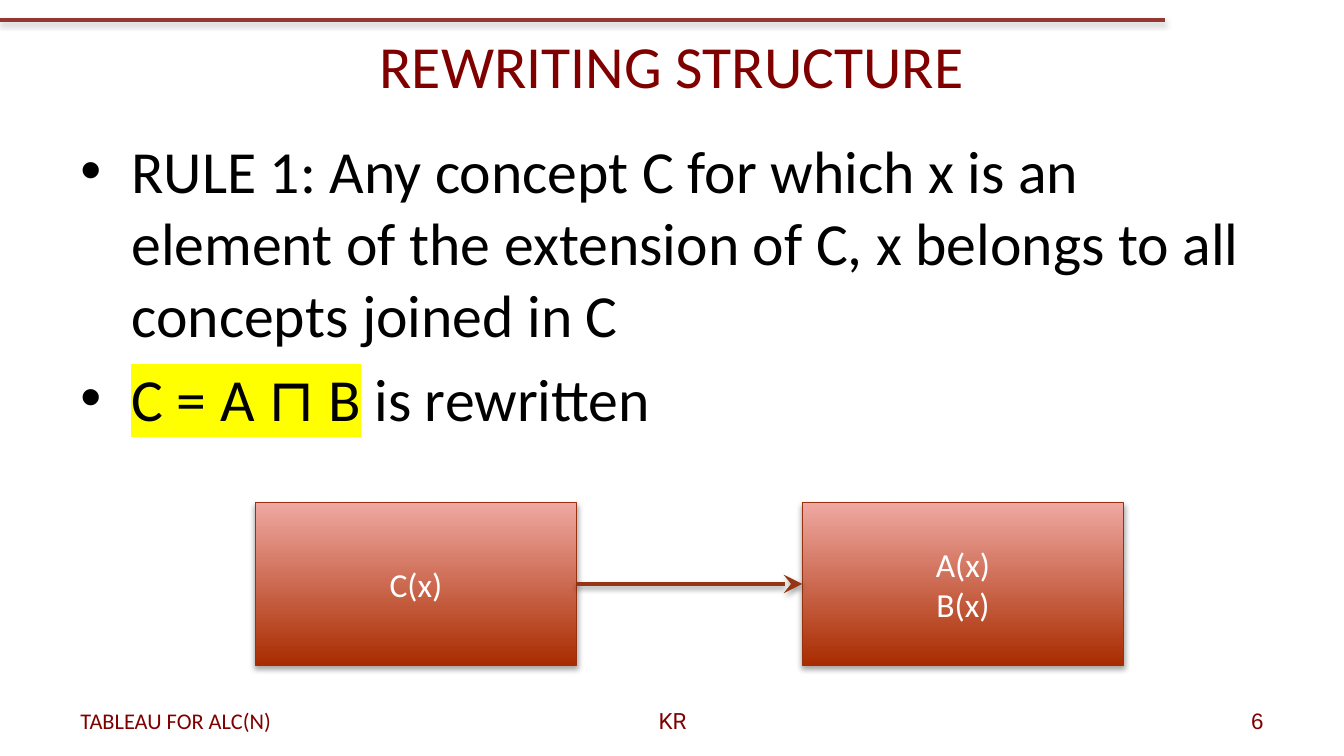
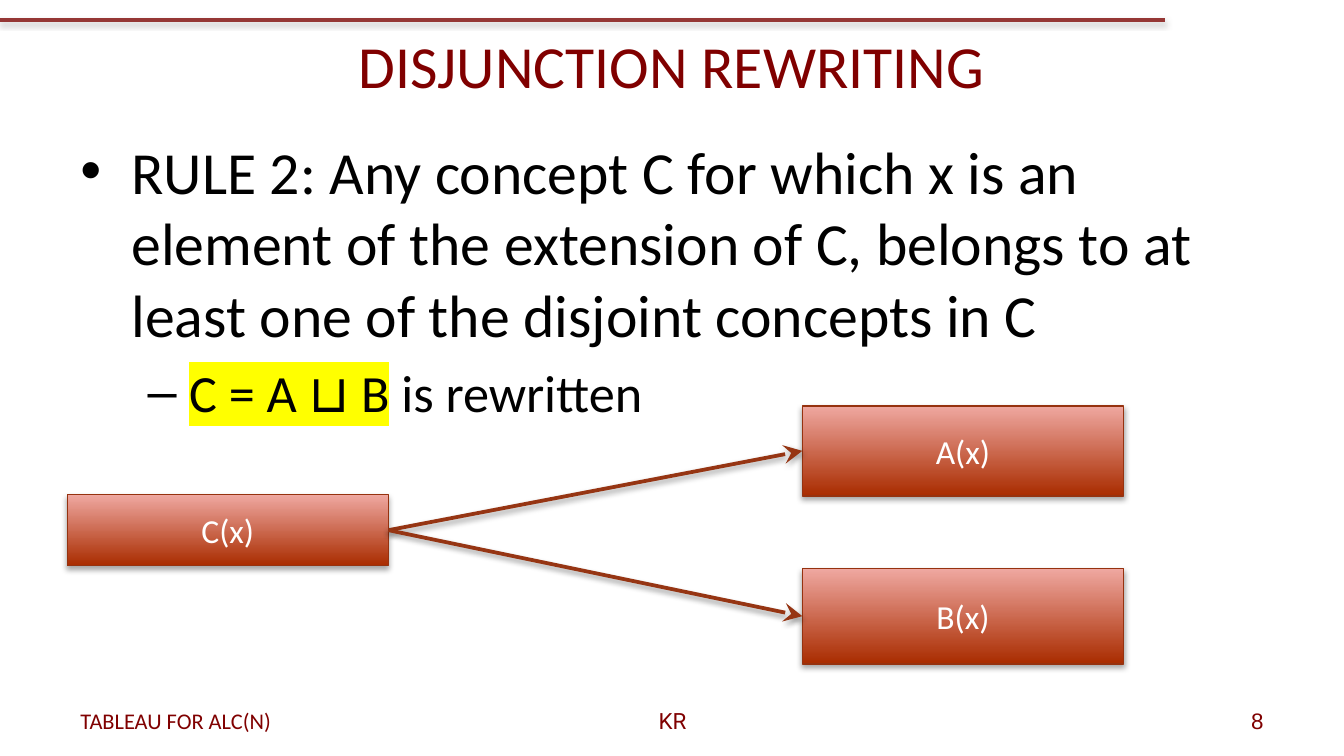
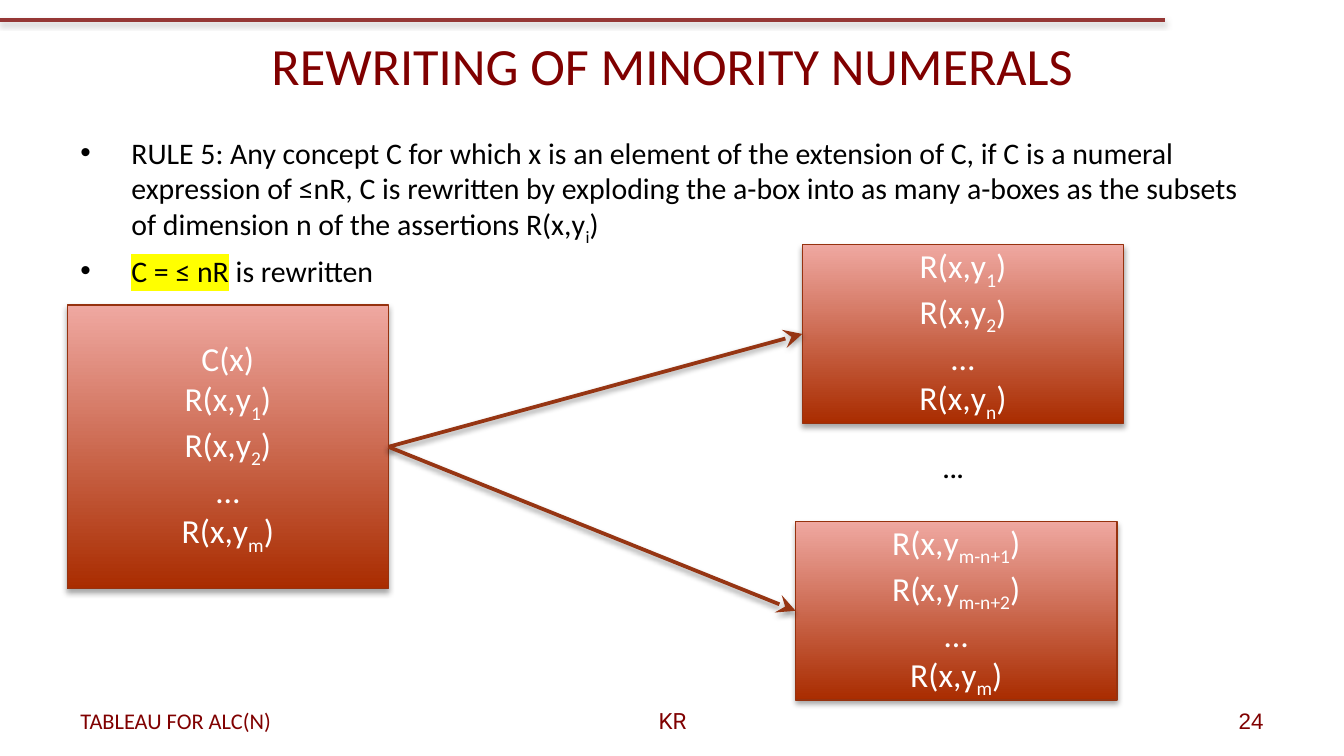
from pptx import Presentation
from pptx.dml.color import RGBColor
from pptx.enum.shapes import MSO_CONNECTOR as LINE, MSO_SHAPE as SHAPE
from pptx.enum.text import MSO_ANCHOR as ANCHOR, PP_ALIGN as ALIGN
from pptx.oxml import parse_xml
from pptx.oxml.ns import nsdecls
from pptx.util import Inches, Pt

COLORS = {
    "title": "800000", "band": "953735", "arrow": "963513", "edge": "96320F",
    "dark": "A92C00", "light": "EFA8A1", "body": "000000", "box_text": "FFFFFF",
    "mark": "FFFF00", "band_shadow": "808080", "shadow": "000000",
}
MAIN_FONT = "Calibri"


def role(index):
    """Runs of the assertion R(x,y) with a subscript index."""
    return [("R(x,y", ""), (index, "sub"), (")", "")]


def plain(text):
    return [(text, "")]


# Content: a text line is a list of (text, style) runs
BOX_WIDTH = 2.39
LEFT, RIGHT = 0.5, 5.97
FOOTERS = [  # left, width, alignment, font, text (None: page number)
    (0.5, 2.73, ALIGN.LEFT, MAIN_FONT, "TABLEAU FOR ALC(N)"),
    (3.42, 3.17, ALIGN.CENTER, "Roboto", "KR"),
    (7.17, 2.33, ALIGN.RIGHT, "Arial", None),
]
LEVELS = [("•", 0.38, 0.38), ("–", 0.81, 0.31)]  # bullet, indent, hanging

SLIDES = [
    {
        "title": "REWRITING STRUCTURE", "title_size": 32, "number": 6,
        "body_height": 2.37,
        "body": [  # level, size, runs
            (0, 32, plain("RULE 1: Any concept C for which x is an element of the "
                          "extension of C, x belongs to all concepts joined in C")),
            (0, 32, [("C = A ⊓ B", "mark"), (" is rewritten", "")]),
        ],
        "source": (1.9, 3.74, 1.21, [plain("C(x)")]),  # left, top, height, lines
        "targets": [(RIGHT, 3.74, 1.21, [plain("A(x)"), plain("B(x)")])],
    },
    {
        "title": "DISJUNCTION REWRITING", "title_size": 32, "number": 8,
        "body_height": 2.35,
        "body": [
            (0, 32, plain("RULE 2: Any concept C for which x is an element of the "
                          "extension of C, belongs to at least one of the disjoint "
                          "concepts in C")),
            (1, 28, [("C = A ⊔ B", "mark"), (" is rewritten", "")]),
        ],
        "source": (LEFT, 3.68, 0.53, [plain("C(x)")]),
        "targets": [(RIGHT, 3.02, 0.67, [plain("A(x)")]),
                    (RIGHT, 4.23, 0.71, [plain("B(x)")])],
    },
    {
        "title": "REWRITING OF MINORITY NUMERALS", "title_size": 28, "number": 24,
        "body_height": 1.32,
        "body": [
            (0, 16, plain("RULE 5: Any concept C for which x is an element of the "
                          "extension of C, if C is a numeral expression of ≤nR, C is "
                          "rewritten by exploding the a-box into as many a-boxes as "
                          "the subsets of dimension n of the assertions ") + role("i")),
            (0, 16, [("C = ≤ nR", "mark"), (" is rewritten", "")]),
        ],
        "source": (LEFT, 2.27, 2.11,
                   [plain("C(x)"), role("1"), role("2"), plain("…"), role("m")]),
        "targets": [(RIGHT, 1.82, 1.33, [role("1"), role("2"), plain("…"), role("n")]),
                    (5.92, 3.88, 1.33,
                     [role("m-n+1"), role("m-n+2"), plain("…"), role("m")])],
        "ellipsis": (6.91, 3.26, 0.41, 0.4),
    },
]


def rgb(name):
    return RGBColor.from_string(COLORS[name])


def add_runs(para, runs, size, color, font=MAIN_FONT):
    for text, style in runs:
        span = para.add_run()
        span.text = text
        span.font.size = Pt(size)
        span.font.color.rgb = rgb(color)
        span.font.name = font
        properties = span.font._element
        if style == "sub":
            properties.set("baseline", "-25000")
        elif style == "mark":
            properties.solidFill.addnext(parse_xml(
                f'<a:highlight {nsdecls("a")}><a:srgbClr val="{COLORS["mark"]}"/>'
                '</a:highlight>'))


def add_lines(frame, lines, size, color, align):
    for index, runs in enumerate(lines):
        para = frame.add_paragraph() if index else frame.paragraphs[0]
        para.alignment = align
        add_runs(para, runs, size, color)


def add_shadow(shape, color, opacity, distance):
    shape._element.spPr.append(parse_xml(
        f'<a:effectLst {nsdecls("a")}><a:outerShdw blurRad="{Pt(3.1)}" '
        f'dist="{Pt(distance)}" dir="5400000" rotWithShape="0">'
        f'<a:srgbClr val="{COLORS[color]}"><a:alpha val="{opacity * 1000}"/>'
        '</a:srgbClr></a:outerShdw></a:effectLst>'))


def add_line(page, start, end, color, shadow, arrow=False):
    line = page.shapes.add_connector(LINE.STRAIGHT, *map(Inches, start + end))
    line.line.color.rgb = rgb(color)
    line.line.width = Pt(2)
    if arrow:
        line.line._get_or_add_ln().append(parse_xml(
            f'<a:tailEnd {nsdecls("a")} type="stealth" w="lg" len="lg"/>'))
    add_shadow(line, shadow, 38, 1.6)
    return line


def add_text(page, left, top, width, height, wrap=True):
    box = page.shapes.add_textbox(*map(Inches, (left, top, width, height)))
    box.text_frame.word_wrap = wrap
    return box.text_frame


def add_concept(page, left, top, height, lines):
    box = page.shapes.add_shape(
        SHAPE.RECTANGLE, *map(Inches, (left, top, BOX_WIDTH, height)))
    box.fill.gradient()
    box.fill.gradient_angle = 90
    for position, color in enumerate(("dark", "light")):
        stop = box.fill.gradient_stops[position]
        stop.color.rgb = rgb(color)
        stop.position = position
    box.line.color.rgb = rgb("edge")
    box.line.width = Pt(0.75)
    add_shadow(box, "shadow", 35, 1.8)
    box.text_frame.vertical_anchor = ANCHOR.MIDDLE
    add_lines(box.text_frame, lines, 18, "box_text", ALIGN.CENTER)
    return box


def add_frame(page, content):
    """Band, title and footers shared by all slides."""
    add_line(page, (0, 0.15), (8.67, 0.15), "band", "band_shadow")
    title = page.shapes.title
    title.left, title.top, title.width, title.height = map(Inches, (0.5, 0.01, 9, 0.94))
    title.text_frame.vertical_anchor = ANCHOR.MIDDLE
    add_lines(title.text_frame, [plain(content["title"])], content["title_size"],
              "title", ALIGN.CENTER)
    for left, width, align, font, text in FOOTERS:
        frame = add_text(page, left, 5.21, width, 0.3)
        frame.vertical_anchor = ANCHOR.MIDDLE
        para = frame.paragraphs[0]
        para.alignment = align
        add_runs(para, plain(text or str(content["number"])), 12, "title", font)


def add_body(page, content):
    frame = add_text(page, 0.5, 0.95, 9, content["body_height"])
    for index, (level, size, runs) in enumerate(content["body"]):
        para = frame.add_paragraph() if index else frame.paragraphs[0]
        bullet, indent, hanging = LEVELS[level]
        para.level = level
        if index:
            para.space_before = Pt(size * 0.2)
        properties = para._p.get_or_add_pPr()
        properties.set("marL", str(Inches(indent)))
        properties.set("indent", str(-Inches(hanging)))
        for tag in (f'buFont {nsdecls("a")} typeface="Arial"',
                    f'buChar {nsdecls("a")} char="{bullet}"'):
            properties.append(parse_xml(f"<a:{tag}/>"))
        add_runs(para, runs, size, "body")


def add_diagram(page, content):
    source = add_concept(page, *content["source"])
    for target in content["targets"]:
        box = add_concept(page, *target)
        arrow = add_line(page, (0, 0), (1, 1), "arrow", "shadow", arrow=True)
        arrow.begin_connect(source, 3)
        arrow.end_connect(box, 1)
    if "ellipsis" in content:
        frame = add_text(page, *content["ellipsis"], wrap=False)
        add_runs(frame.paragraphs[0], plain("…"), 18, "body", "Roboto")


def main():
    deck = Presentation()
    # Widescreen 16:9
    deck.slide_width = Inches(10)
    deck.slide_height = deck.slide_width * 9 // 16
    for content in SLIDES:
        page = deck.slides.add_slide(deck.slide_layouts[5])
        add_frame(page, content)
        add_body(page, content)
        add_diagram(page, content)
    deck.save("out.pptx")


if __name__ == "__main__":
    main()
